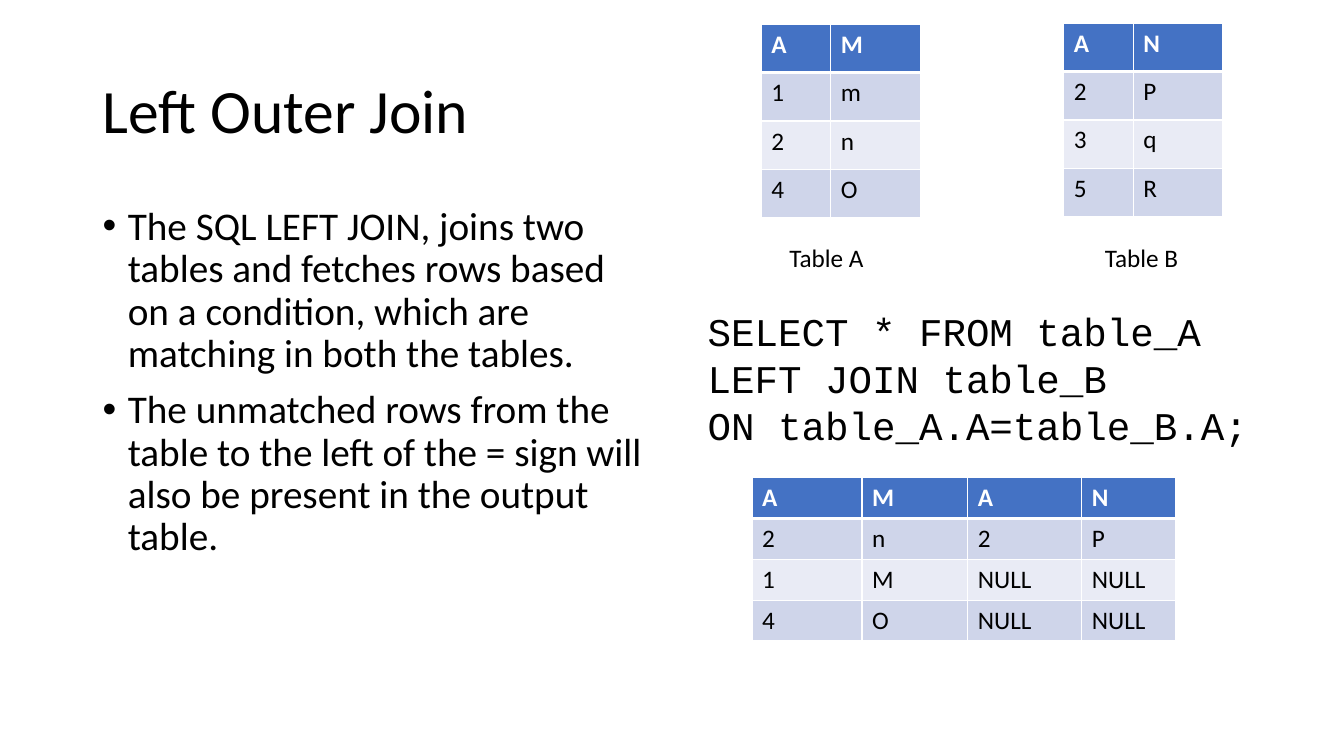
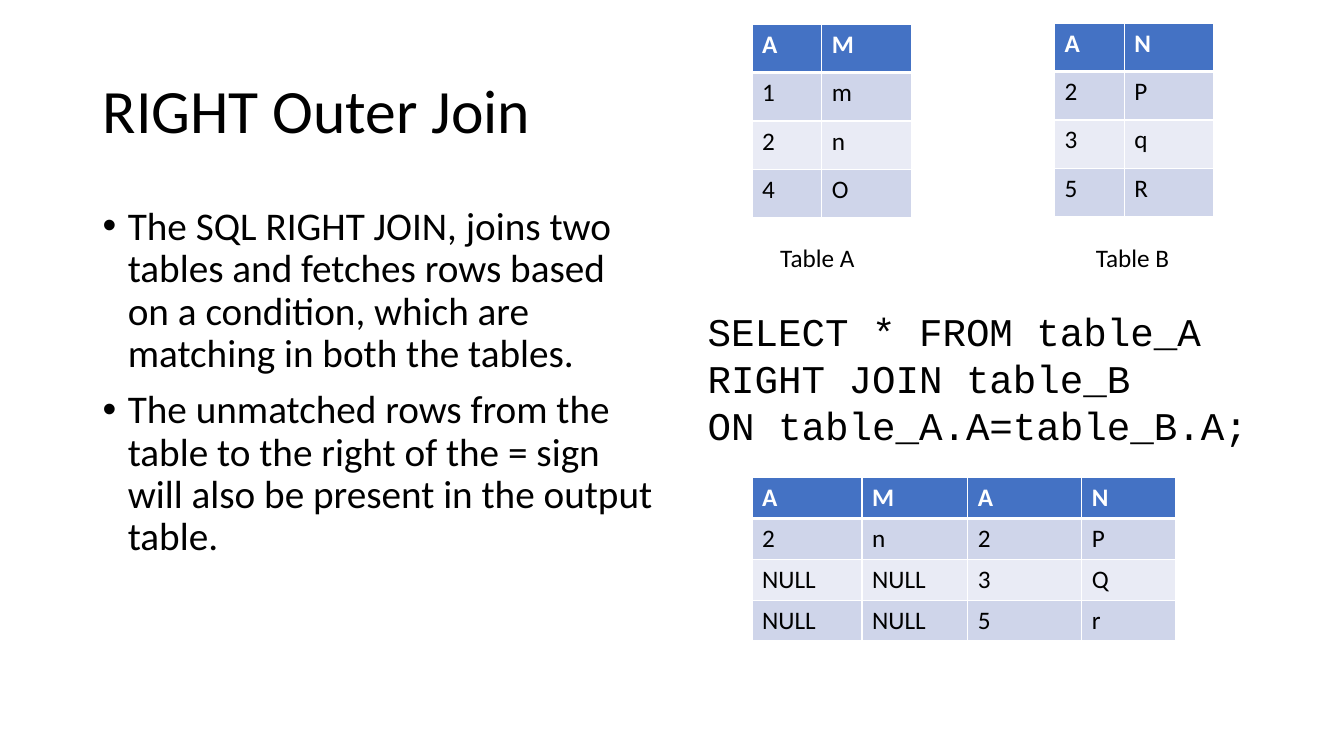
from dataclasses import dataclass

from lxml import etree
from pptx import Presentation
from pptx import util as u
from pptx.dml.color import RGBColor
from pptx.enum import shapes, text
from pptx.oxml import ns


@dataclass(frozen=True)
class Theme:
    """Colours, fonts and type sizes shared by the slides."""
    ink: str = "000000"
    paper: str = "FFFFFF"
    header: str = "4472C4"
    bands: tuple = ("CFD5EA", "E9EBF5")
    sans: str = "Calibri"
    mono: str = "Courier New"
    title_size: int = 44
    body_size: int = 28
    small_size: int = 18


THEME = Theme()
TABLE_A = ["AM", "1m", "2n", "4O"]
TABLE_B = ["AN", "2P", "3q", "5R"]
SOURCE_COLUMNS = (0.69, 0.89)
RESULT_COLUMNS = (1.09, 1.05, 1.13, 0.93)


def set_attributes(target, values):
    """Set each attribute named in a dict of format values."""
    for name, value in values.items():
        setattr(target, name, value)


def write(frame, lines, size, font=THEME.sans, color=THEME.ink, bold=False, **paragraph_format):
    """Write one paragraph per line with a common style."""
    for index, line in enumerate(lines):
        paragraph = frame.add_paragraph() if index else frame.paragraphs[0]
        paragraph.text = line
        set_attributes(paragraph, paragraph_format)
        set_attributes(paragraph.font, {"name": font, "size": u.Pt(size), "bold": bold})
        paragraph.font.color.rgb = RGBColor.from_string(color)


def add_text(slide, box, lines, size, wrap=True, anchor=text.MSO_ANCHOR.TOP, **paragraph_format):
    """Add a text box and return its frame."""
    frame = slide.shapes.add_textbox(*map(u.Inches, box)).text_frame
    set_attributes(frame, {"word_wrap": wrap, "vertical_anchor": anchor})
    write(frame, lines, size, **paragraph_format)
    return frame


def add_bullets(slide, box, lines):
    """Add a bulleted list with hanging indents."""
    frame = add_text(slide, box, lines, THEME.body_size, line_spacing=0.9, space_before=u.Pt(10))
    for paragraph in frame.paragraphs:
        properties = paragraph._p.get_or_add_pPr()
        properties.set("marL", str(u.Inches(0.25)))
        properties.set("indent", str(u.Inches(-0.25)))
        font = etree.SubElement(properties, ns.qn("a:buFont"))
        font.set("typeface", "Arial")
        etree.SubElement(properties, ns.qn("a:buChar")).set("char", "•")


def add_code(slide, box, lines):
    """Add a plain panel holding a query."""
    panel = slide.shapes.add_shape(shapes.MSO_SHAPE.RECTANGLE, *map(u.Inches, box))
    panel.shadow.inherit = False
    panel.fill.solid()
    panel.fill.fore_color.rgb = RGBColor.from_string(THEME.paper)
    panel.line.fill.background()
    set_attributes(panel.text_frame, {"word_wrap": True, "vertical_anchor": text.MSO_ANCHOR.MIDDLE})
    write(panel.text_frame, lines, THEME.body_size, THEME.mono, alignment=text.PP_ALIGN.LEFT)


def set_borders(cell, widths):
    """Draw the left, right, top and bottom cell borders, widths in points."""
    properties = cell._tc.get_or_add_tcPr()
    for index, (side, width) in enumerate(zip("LRTB", widths)):
        line = etree.Element(ns.qn(f"a:ln{side}"), w=str(u.Pt(width)))
        fill = etree.SubElement(line, ns.qn("a:solidFill"))
        etree.SubElement(fill, ns.qn("a:srgbClr")).set("val", THEME.paper)
        properties.insert(index, line)


def add_grid(slide, left, top, columns, row_height, rows):
    """Add a table with a coloured header and banded rows."""
    size = sum(columns), row_height * len(rows)
    table = slide.shapes.add_table(len(rows), len(columns), *map(u.Inches, (left, top, *size))).table
    for column, width in zip(table.columns, columns):
        column.width = u.Inches(width)
    for row_index, values in enumerate(rows):
        header = row_index == 0
        fill = THEME.header if header else THEME.bands[(row_index - 1) % 2]
        table.rows[row_index].height = u.Inches(row_height)
        for cell, value in zip(table.rows[row_index].cells, values):
            cell.fill.solid()
            cell.fill.fore_color.rgb = RGBColor.from_string(fill)
            set_borders(cell, (1, 1, 3 if row_index == 1 else 1, 3 if header else 1))
            write(cell.text_frame, [value], THEME.small_size,
                  color=THEME.paper if header else THEME.ink, bold=header)


def add_sources(slide, left):
    """Add the two captioned input tables, starting at the given left edge."""
    for name, rows, offset, top, caption_offset in (
            ("Table A", TABLE_A, 0, 0.24, 0.18), ("Table B", TABLE_B, 3, 0.23, 3.31)):
        add_grid(slide, left + offset, top, SOURCE_COLUMNS, 0.48, rows)
        add_text(slide, (left + caption_offset, 2.36, 0.95, 0.4), [name], THEME.small_size, wrap=False)


def add_join_slide(presentation, title, side, sources_left, result):
    """Add a slide that explains one outer join."""
    slide = presentation.slides.add_slide(presentation.slide_layouts[6])
    add_text(slide, (0.92, 0.4, 11.5, 1.45), [title], THEME.title_size,
             anchor=text.MSO_ANCHOR.MIDDLE, line_spacing=0.9)
    add_bullets(slide, (0.92, 2, 5.67, 4.76), [
        f"The SQL {side.upper()} JOIN, joins two tables and fetches rows based on a condition, "
        "which are matching in both the tables.",
        f"The unmatched rows from the table to the {side} of the = sign "
        "will also be present in the output table."])
    add_code(slide, (6.92, 2.99, 5.99, 1.51), [
        f"SELECT * FROM table_A {side.upper()} JOIN table_B", "ON table_A.A=table_B.A;"])
    add_sources(slide, sources_left)
    add_grid(slide, 7.46, 4.74, RESULT_COLUMNS, 0.405, ["AMAN", "2n2P", *result])


def main():
    """Build and save the presentation."""
    presentation = Presentation()
    set_attributes(presentation, {"slide_width": u.Inches(13.33), "slide_height": u.Inches(7.5)})
    nulls = ("NULL", "NULL")
    add_join_slide(presentation, "Left Outer Join", "left", 7.55,
                   [("1", "M", *nulls), ("4", "O", *nulls)])
    add_join_slide(presentation, "RIGHT Outer Join", "right", 7.46,
                   [(*nulls, "3", "Q"), (*nulls, "5", "r")])
    presentation.save("out.pptx")


main()
